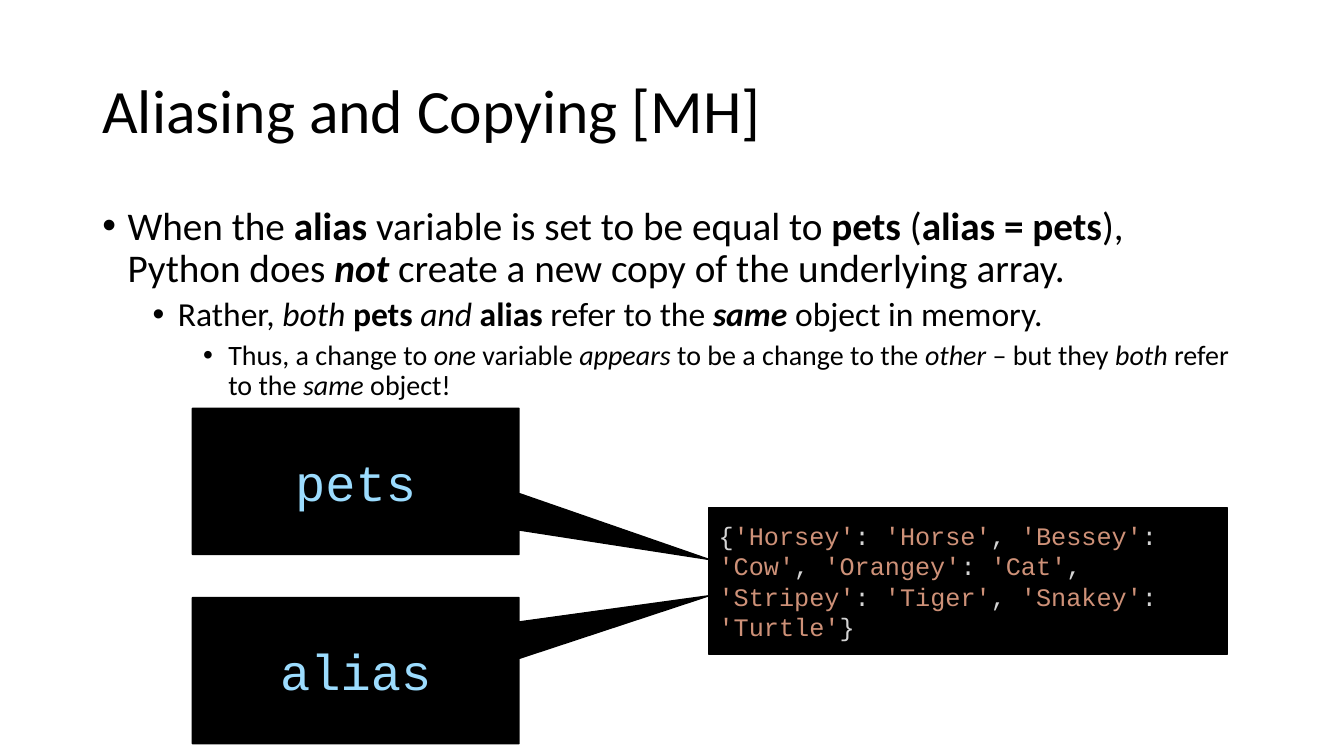
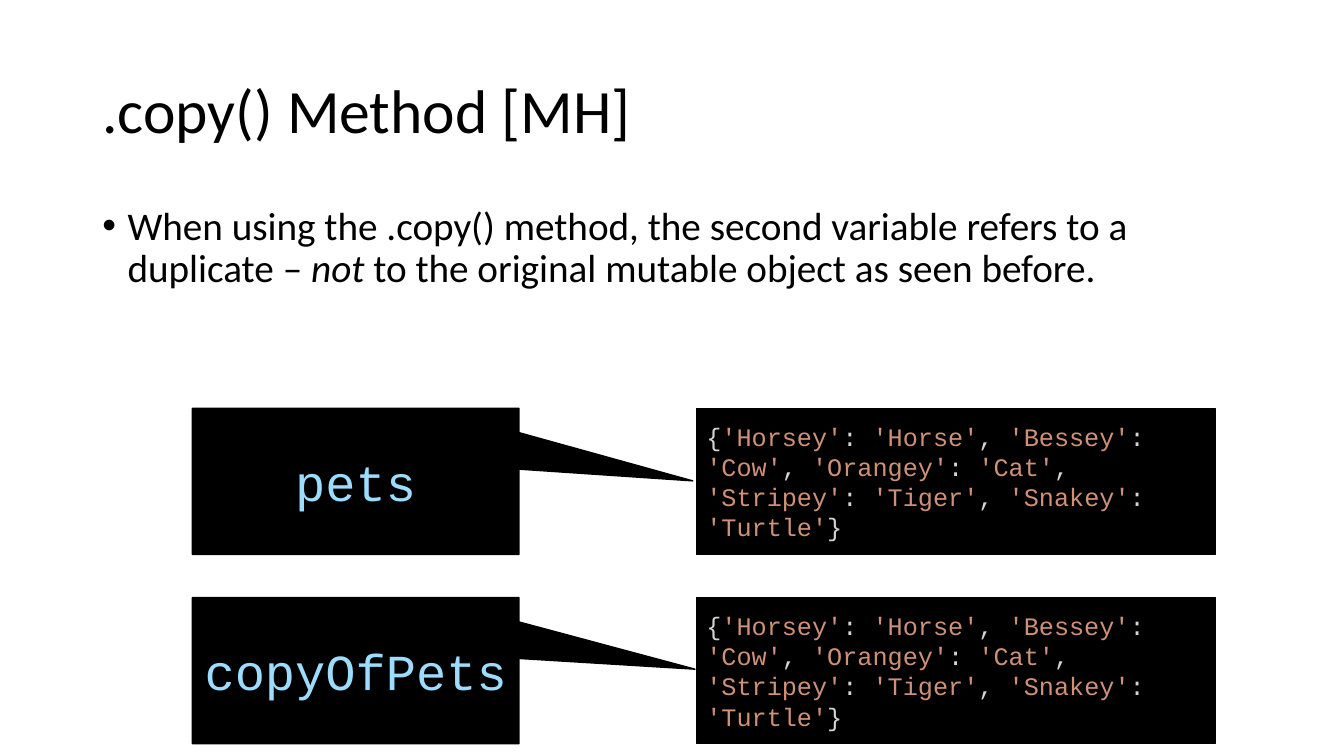
from lxml.etree import SubElement
from pptx import Presentation
from pptx.dml.color import RGBColor
from pptx.enum.shapes import MSO_SHAPE
from pptx.enum.text import MSO_ANCHOR, PP_ALIGN
from pptx.oxml.ns import qn
from pptx.util import Cm, Pt

BLACK = RGBColor(0x00, 0x00, 0x00)
VARIABLE = RGBColor(0x9C, 0xDC, 0xFE)
PUNCTUATION = RGBColor(0xD4, 0xD4, 0xD4)
STRING = RGBColor(0xCE, 0x91, 0x78)
TEXT_FONT, CODE_FONT = "Calibri", "Courier New"

PETS = {"Horsey": "Horse", "Bessey": "Cow", "Orangey": "Cat",
        "Stripey": "Tiger", "Snakey": "Turtle"}

LEFT, WIDTH = 2.33, 29.21
ROWS = 10.29, 15.06
BOX_H = 3.68
NAME_X, NAME_W = 4.85, 8.23
DICT_W = 13.08
LEVEL_SIZES = 28, 24, 20

SLIDES = [
    {
        "title": "Aliasing and Copying [MH]",
        "bullets": [
            [("When the ", ""), ("alias", "b"), (" variable is set to be equal to ", ""),
             ("pets", "b"), (" (", ""), ("alias = pets", "b"), ("), Python does ", ""),
             ("not", "bi"), (" create a new copy of the underlying array.", "")],
            [("Rather, ", ""), ("both ", "i"), ("pets ", "b"), ("and ", "i"), ("alias", "b"),
             (" refer to the ", ""), ("same", "bi"), (" object in memory.", "")],
            [("Thus, a change to ", ""), ("one", "i"), (" variable ", ""), ("appears", "i"),
             (" to be a change to the ", ""), ("other", "i"), (" – but they ", ""),
             ("both", "i"), (" refer to the ", ""), ("same", "i"), (" object!", "")],
        ],
        "names": [("pets", (1.082, 0.535)), ("alias", (1.082, -0.513))],
        "dicts": [(17.86, 12.8)],
    },
    {
        "title": ".copy() Method [MH]",
        "bullets": [
            [("When using the .copy() method, the second variable refers to a duplicate – ", ""),
             ("not", "i"), (" to the original mutable object as seen before.", "")],
        ],
        "names": [("pets", (1.032, -0.003)), ("copyOfPets", (1.039, -0.01))],
        "dicts": [(17.55, y) for y in ROWS],
    },
]


def add_run(p, text, size, font=TEXT_FONT, color=BLACK, style=""):
    r = p.add_run()
    r.text = text
    r.font.size = Pt(size)
    r.font.name = font
    r.font.color.rgb = color
    r.font.bold = "b" in style
    r.font.italic = "i" in style


def add_text_box(s, y, h, anchor):
    tf = s.shapes.add_textbox(Cm(LEFT), Cm(y), Cm(WIDTH), Cm(h)).text_frame
    tf.word_wrap = True
    tf.vertical_anchor = anchor
    return tf


def add_bullet(p, level):
    p.level = level
    p.line_spacing = 0.9
    p.space_before = Pt(5 if level else 0)
    pPr = p._p.get_or_add_pPr()
    pPr.set("marL", str(Cm(0.635 + 1.27 * level)))
    pPr.set("indent", str(-Cm(0.635)))
    SubElement(pPr, qn("a:buFont"), typeface="Arial")
    SubElement(pPr, qn("a:buChar"), char="•")


def add_code_box(s, kind, x, y, w, align, tokens, size):
    sp = s.shapes.add_shape(kind, Cm(x), Cm(y), Cm(w), Cm(BOX_H))
    sp.shadow.inherit = False
    sp.fill.solid()
    sp.fill.fore_color.rgb = BLACK
    sp.line.color.rgb = BLACK
    sp.line.width = Pt(1)
    tf = sp.text_frame
    tf.word_wrap = True
    tf.vertical_anchor = MSO_ANCHOR.MIDDLE
    p = tf.paragraphs[0]
    p.alignment = align
    for text, color in tokens:
        add_run(p, text, size, font=CODE_FONT, color=color)
    return sp


def dict_tokens(items):
    tokens, lead = [], "{"
    for key, value in items.items():
        tokens += [(lead, PUNCTUATION), (f"'{key}'", STRING),
                   (": ", PUNCTUATION), (f"'{value}'", STRING)]
        lead = ", "
    return tokens + [("}", PUNCTUATION)]


def build_slide(prs, content):
    s = prs.slides.add_slide(prs.slide_layouts[6])
    p = add_text_box(s, 1.01, 3.68, MSO_ANCHOR.MIDDLE).paragraphs[0]
    p.line_spacing = 0.9
    add_run(p, content["title"], 44)

    tf = add_text_box(s, 5.07, 12.09, MSO_ANCHOR.TOP)
    for level, runs in enumerate(content["bullets"]):
        p = tf.add_paragraph() if level else tf.paragraphs[0]
        add_bullet(p, level)
        for text, style in runs:
            add_run(p, text, LEVEL_SIZES[level], style=style)

    for y, (name, tip) in zip(ROWS, content["names"]):
        sp = add_code_box(s, MSO_SHAPE.RECTANGULAR_CALLOUT, NAME_X, y, NAME_W,
                          PP_ALIGN.CENTER, [(name, VARIABLE)], 36)
        sp.adjustments[0], sp.adjustments[1] = tip
    for x, y in content["dicts"]:
        add_code_box(s, MSO_SHAPE.RECTANGLE, x, y, DICT_W,
                     PP_ALIGN.LEFT, dict_tokens(PETS), 18)


def main():
    prs = Presentation()
    prs.slide_width, prs.slide_height = Cm(33.87), Cm(19.05)
    for content in SLIDES:
        build_slide(prs, content)
    prs.save("out.pptx")


if __name__ == "__main__":
    main()
